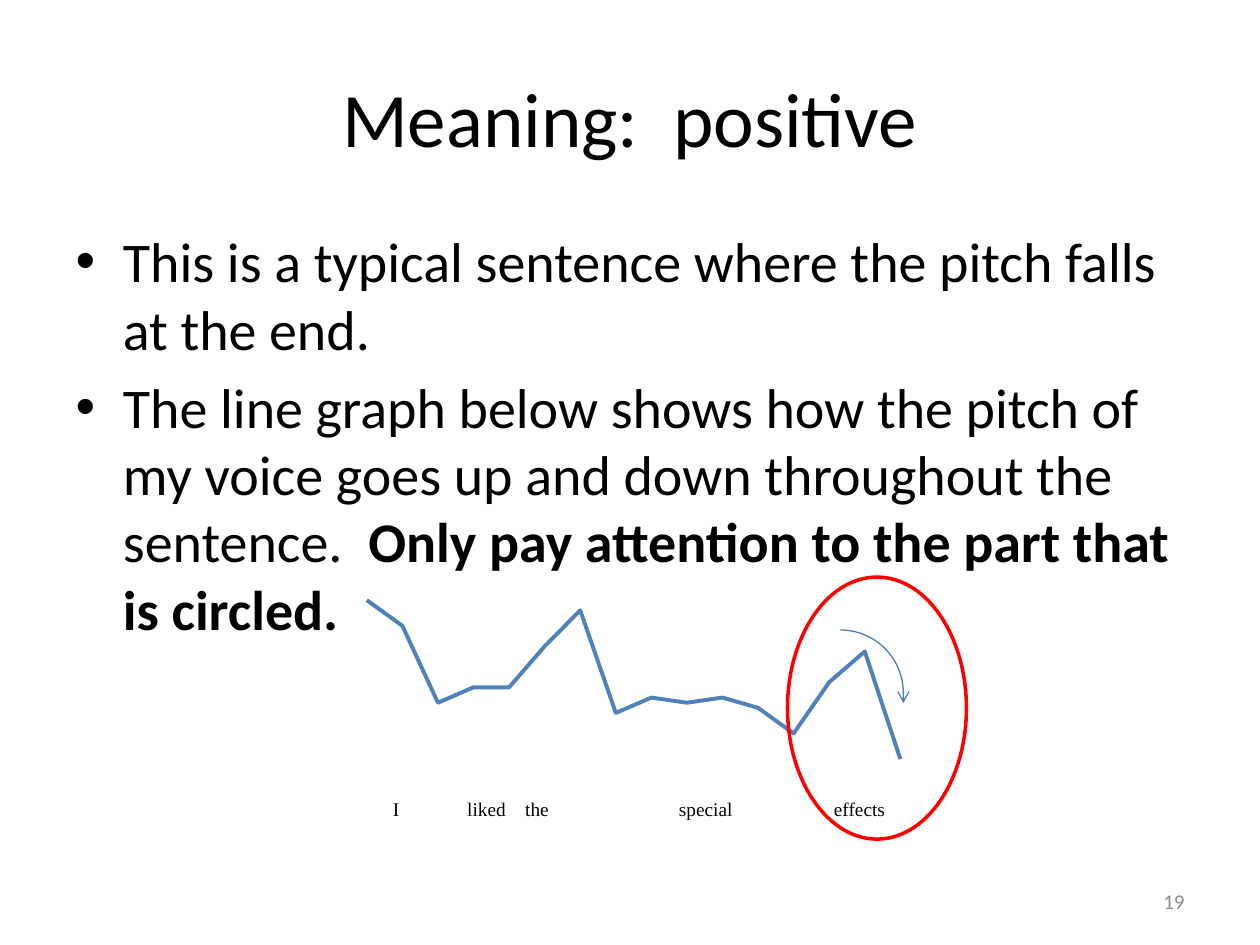
from lxml import etree
from pptx import Presentation
from pptx.chart import data
from pptx.dml.color import RGBColor
from pptx.enum import chart as chart_enum, shapes, text
from pptx.oxml import ns
from pptx.util import Inches, Pt

BLACK = RGBColor(0x00, 0x00, 0x00)
GRAY = RGBColor(0x8C, 0x8C, 0x8C)
PITCH_BLUE = RGBColor(0x4F, 0x81, 0xBD)
ARROW_BLUE = RGBColor(0x4B, 0x7E, 0xBC)
RED = RGBColor(0xFF, 0x00, 0x00)


def write(paragraph, content, size, font="Calibri", color=BLACK, bold=None, align=None):
    """Add one formatted run to a paragraph."""
    run = paragraph.add_run()
    run.text = content
    run.font.size = Pt(size)
    run.font.name = font
    run.font.color.rgb = color
    run.font.bold = bold
    if align is not None:
        paragraph.alignment = align


def add_xml(parent, tag, **attributes):
    """Append an XML child element and return it."""
    return etree.SubElement(parent, ns.qn(tag), attributes)


deck = Presentation()
deck.slide_width, deck.slide_height = Inches(10), Inches(7.5)
slide = deck.slides.add_slide(deck.slide_layouts[1])

# Title and explanation
title, explanation = slide.placeholders
title.left, title.top, title.width, title.height = map(Inches, (0.5, 0.3, 9, 1.25))
write(title.text_frame.paragraphs[0], "Meaning:  positive", 44,
      align=text.PP_ALIGN.CENTER)

explanation.left, explanation.top = Inches(0.5), Inches(1.75)
explanation.width, explanation.height = Inches(9), Inches(4.95)
bullets = explanation.text_frame
write(bullets.paragraphs[0],
      "This is a typical sentence where the pitch falls at the end.", 32)
graph_note = bullets.add_paragraph()
write(graph_note, "The line graph below shows how the pitch of my voice goes up "
      "and down throughout the sentence.  ", 32)
write(graph_note, "Only pay attention to the part that is circled.", 32, bold=True)

# Slide number
page_number = slide.shapes.add_textbox(Inches(7.17), Inches(6.95), Inches(2.33), Inches(0.4))
page_number.text_frame.word_wrap = True
page_number.text_frame.vertical_anchor = text.MSO_ANCHOR.MIDDLE
write(page_number.text_frame.paragraphs[0], "19", 12, color=GRAY, align=text.PP_ALIGN.RIGHT)

# Pitch contour
pitches = [100, 95, 80, 83, 83, 91, 98, 78, 81, 80, 81, 79, 74, 84, 90, 69, None]
pitch_data = data.CategoryChartData()
pitch_data.categories = [str(number) for number in range(1, len(pitches) + 1)]
pitch_data.add_series("Series 1", pitches)
pitch_chart = slide.shapes.add_chart(
    chart_enum.XL_CHART_TYPE.LINE, Inches(2.67), Inches(4.5), Inches(5), Inches(3),
    pitch_data).chart
pitch_chart.has_legend = False
pitch_chart.has_title = False
pitch_chart.font.size = Pt(10)
pitch_chart.font.name = "Calibri"
pitch_chart.font.color.rgb = BLACK
pitch_chart.plots[0].vary_by_categories = False
pitch_chart.value_axis.minimum_scale = 35
pitch_chart.value_axis.maximum_scale = 105
pitch_chart.value_axis.has_major_gridlines = False
for axis in (pitch_chart.category_axis, pitch_chart.value_axis):
    axis.visible = False
contour = pitch_chart.plots[0].series[0]
contour.smooth = False
contour.marker.style = chart_enum.XL_MARKER_STYLE.NONE
contour.format.line.color.rgb = PITCH_BLUE
contour.format.line.width = Pt(2.25)

plot_area = pitch_chart.plots[0]._element.getparent()
for old_layout in plot_area.findall(ns.qn("c:layout")):
    plot_area.remove(old_layout)
layout = add_xml(plot_area, "c:layout")
plot_area.insert(0, layout)
manual = add_xml(layout, "c:manualLayout")
for tag, value in (("layoutTarget", "inner"), ("xMode", "edge"), ("yMode", "edge"),
                   ("x", "0.02"), ("y", "0.02"), ("w", "0.96"), ("h", "0.95")):
    add_xml(manual, f"c:{tag}", val=value)

# Words under the contour, aligned by tab stops
words = slide.shapes.add_textbox(Inches(3.02), Inches(6.28), Inches(4.26), Inches(0.48))
words.text_frame.word_wrap = True
sentence = words.text_frame.paragraphs[0]
write(sentence, "I\tliked\tthe\tspecial\teffects", 11, font="Times New Roman")
tab_stops = add_xml(sentence._p.get_or_add_pPr(), "a:tabLst")
for position in (0.59, 1.05, 2.27, 3.5):
    add_xml(tab_stops, "a:tab", pos=str(Inches(position)), algn="l")

# Falling arrow and circle around the sentence ending
for preset, place, color, width in (
        (shapes.MSO_SHAPE.ARC, (6.17, 5, 1, 1), ARROW_BLUE, 0.75),
        (shapes.MSO_SHAPE.OVAL, (6.25, 4.58, 1.42, 2.08), RED, 2)):
    outline = slide.shapes.add_shape(preset, *map(Inches, place))
    outline.shadow.inherit = False
    outline.fill.background()
    outline.line.color.rgb = color
    outline.line.width = Pt(width)

arrow_tip = slide.shapes.add_connector(
    shapes.MSO_CONNECTOR.STRAIGHT, Inches(7.17), Inches(5.5), Inches(7.17), Inches(5.58))
arrow_tip.line.color.rgb = ARROW_BLUE
arrow_tip.line.width = Pt(0.75)
add_xml(arrow_tip.line._get_or_add_ln(), "a:tailEnd", type="arrow")
add_xml(arrow_tip._element.spPr, "a:effectLst")

deck.save("out.pptx")
